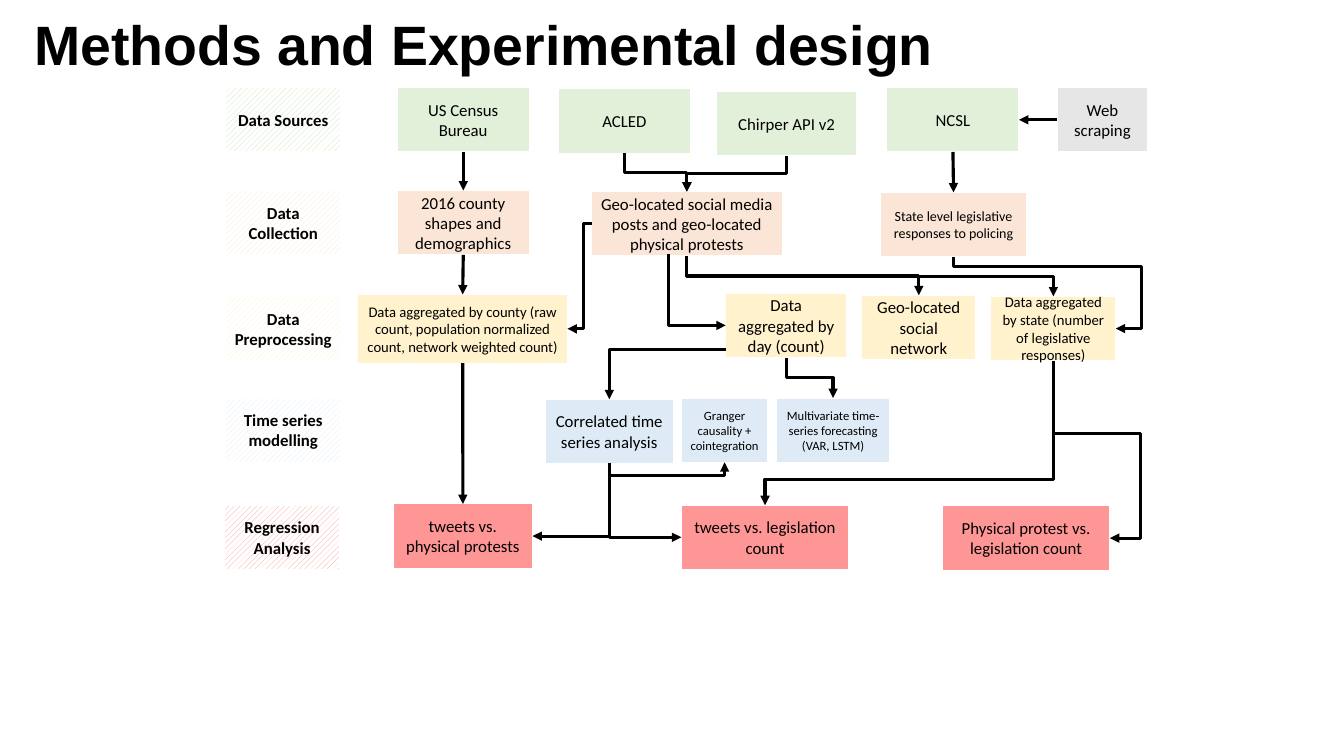
from lxml import etree
from pptx import Presentation
from pptx import util as u
from pptx.dml.color import RGBColor
from pptx.enum import dml, shapes, text
from pptx.oxml import ns

COLOURS = {
    "ink": "000000", "paper": "FFFFFF", "source": "E2F0D9", "source_label": "C5E0B4",
    "collection": "FBE5D6", "preprocessing": "FFF2CC", "modelling": "DEEBF7",
    "regression": "FF0000", "regression_label": "FF9696", "scraping": "E7E6E6",
}
TOP, LEFT, BOTTOM, RIGHT = range(4)
BOX_HEIGHT = 1.62

LABELS = [
    ("Data Sources", 5.69, 2.21, "source_label"),
    ("Data Collection", 5.69, 4.8, "collection"),
    ("Data Preprocessing", 5.69, 7.47, "preprocessing"),
    ("Time series modelling", 5.69, 10.03, "modelling"),
    ("Regression Analysis", 5.66, 12.73, "regression_label"),
]

STEPS = {
    "source": [
        ("census", "US Census Bureau", 10.01, 2.21, 3.33, 12),
        ("events", "ACLED", 14.07, 2.24, 3.33, 12),
        ("posts", "Chirper API v2", 18.06, 2.31, 3.53, 12),
        ("ncsl", "NCSL", 22.35, 2.21, 3.33, 12),
    ],
    "scraping": [("web", "Web scraping", 26.64, 2.21, 2.29, 12)],
    "collection": [
        ("county", "2016 county shapes and demographics", 10.01, 4.8, 3.33, 12),
        ("geo", "Geo-located social media posts and geo-located physical protests",
         14.91, 4.83, 4.8, 12),
        ("policing", "State level legislative responses to policing", 22.2, 4.85, 3.66, 10),
    ],
    "preprocessing": [
        ("by_county", "Data aggregated by county (raw count, population normalized count, "
         "network weighted count)", 9.02, 7.42, 5.28, 10.5),
        ("by_day", "Data aggregated by day (count)", 18.29, 7.39, 3.05, 12),
        ("network", "Geo-located social network", 21.72, 7.44, 2.87, 12),
        ("by_state", "Data aggregated by state (number of legislative responses)",
         24.97, 7.47, 3.15, 10.5),
    ],
    "modelling": [
        ("correlated", "Correlated time series analysis", 13.74, 10.06, 3.23, 12),
        ("granger", "Granger causality + cointegration", 17.17, 10.03, 2.18, 9),
        ("forecast", "Multivariate time-series forecasting (VAR, LSTM)",
         19.56, 10.03, 2.87, 9),
    ],
    "regression": [
        ("tweets_protests", "tweets vs. physical protests", 9.91, 12.7, 3.51, 12),
        ("tweets_laws", "tweets vs. legislation count", 17.17, 12.73, 4.22, 12),
        ("protests_laws", "Physical protest vs. legislation count", 23.75, 12.75, 4.22, 12),
    ],
}

STRAIGHT = [
    ("web", LEFT, "ncsl", RIGHT),
    ("census", BOTTOM, "county", TOP),
    ("county", BOTTOM, "by_county", TOP),
    ("by_county", BOTTOM, "tweets_protests", TOP),
    ("ncsl", BOTTOM, "policing", TOP),
]

ELBOWS = [
    ("posts", BOTTOM, "geo", TOP, [0.5]),
    ("events", BOTTOM, "geo", TOP, [0.5]),
    ("geo", LEFT, "by_county", RIGHT, [0.34]),
    ((16.84, 6.4), BOTTOM, "by_day", LEFT, []),
    ("policing", BOTTOM, "by_state", RIGHT, [0.14, 1.16]),
    ((18.29, 8.81), LEFT, "correlated", TOP, []),
    ("geo", BOTTOM, "network", TOP, [0.5]),
    ("geo", BOTTOM, "by_state", TOP, [0.5]),
    ("by_day", BOTTOM, "forecast", TOP, [0.5]),
    ("by_state", BOTTOM, "protests_laws", RIGHT, [0.41, 1.54]),
    ("by_state", BOTTOM, "tweets_laws", TOP, [0.82]),
    ("correlated", BOTTOM, "tweets_protests", RIGHT, []),
    ("correlated", BOTTOM, "tweets_laws", LEFT, []),
    ("correlated", BOTTOM, "granger", BOTTOM, [-10]),
]


def colour(name):
    """Return a named colour."""
    return RGBColor.from_string(COLOURS[name])


class FlowPage:
    """Holds the page, its boxes and the shared style."""

    def __init__(self, deck):
        """Add a title-only page to the deck."""
        self.page = deck.slides.add_slide(deck.slide_layouts[5])
        self.boxes = {}

    def wording(self, frame, words, size, bold=False, font="Calibri"):
        """Add one run to a text frame."""
        frame.word_wrap = True
        frame.vertical_anchor = text.MSO_ANCHOR.MIDDLE
        span = frame.paragraphs[0].add_run()
        span.text = words
        span.font.name, span.font.size, span.font.bold = font, u.Pt(size), bold
        span.font.color.rgb = colour("ink")
        return frame.paragraphs[0]

    def title(self, words):
        """Place and format the title."""
        box = self.page.shapes.title
        box.left, box.top, box.width, box.height = map(u.Cm, (0.61, 0.43, 25.43, 1.63))
        box.text_frame.auto_size = text.MSO_AUTO_SIZE.NONE
        para = self.wording(box.text_frame, words, 39.6, True, "Arial")
        para.alignment = text.PP_ALIGN.LEFT
        para.line_spacing = 0.8

    def box(self, words, left, top, width, height, size, bold=False):
        """Add a white-edged rectangle with centred text."""
        box = self.page.shapes.add_shape(
            shapes.MSO_SHAPE.RECTANGLE, *map(u.Cm, (left, top, width, height)))
        box.shadow.inherit = False
        box.line.color.rgb = colour("paper")
        box.line.width = u.Pt(0.75)
        frame = box.text_frame
        frame.margin_left = frame.margin_right = u.Cm(0.19)
        frame.margin_top = frame.margin_bottom = u.Cm(0.1)
        self.wording(frame, words, size, bold).alignment = text.PP_ALIGN.CENTER
        return box

    def label(self, words, left, top, stripe):
        """Add a hatched row label."""
        fill = self.box(words, left, top, 2.9, BOX_HEIGHT, 12, True).fill
        fill.patterned()
        fill.pattern = dml.MSO_PATTERN.WIDE_UPWARD_DIAGONAL
        fill.fore_color.rgb = colour(stripe)
        fill.back_color.rgb = colour("paper")

    def step(self, stage, key, words, left, top, width, size):
        """Add a filled step of the given stage."""
        height = 1.73 if key == "by_county" else BOX_HEIGHT
        box = self.boxes[key] = self.box(words, left, top, width, height, size)
        box.fill.solid()
        box.fill.fore_color.rgb = colour(stage)
        if stage == "regression":
            tint = box._element.spPr.find(ns.qn("a:solidFill")).find(ns.qn("a:srgbClr"))
            etree.SubElement(tint, ns.qn("a:alpha"), val="41000")

    def arrow(self, source, out, target, into, kind=shapes.MSO_CONNECTOR.STRAIGHT):
        """Join a step or a point to a step with an arrow."""
        free = isinstance(source, tuple)
        start = tuple(map(u.Cm, source)) if free else (0, 0)
        line = self.page.shapes.add_connector(kind, *start, *start)
        if not free:
            line.begin_connect(self.boxes[source], out)
        line.end_connect(self.boxes[target], into)
        line.line.color.rgb = colour("ink")
        line.line.width = u.Pt(2.25)
        outline = line._element.spPr.find(ns.qn("a:ln"))
        etree.SubElement(outline, ns.qn("a:tailEnd"), type="triangle")
        etree.SubElement(line._element.spPr, ns.qn("a:effectLst"))
        return line

    def elbow(self, source, out, target, into, bends):
        """Join with a bent arrow whose turns sit at the given fractions."""
        line = self.arrow(source, out, target, into, shapes.MSO_CONNECTOR.ELBOW)
        across, down = line.end_x - line.begin_x, line.end_y - line.begin_y
        middle_x, middle_y = line.begin_x + across // 2, line.begin_y + down // 2
        width, height = abs(across), abs(down)
        if out == BOTTOM:
            width, height = height, width
            turn = 270 if across > 0 else 90
            flips = (across > 0) == (down > 0), False
        else:
            turn, flips = 180, (False, down > 0)
        line.left, line.top = middle_x - width // 2, middle_y - height // 2
        line.width, line.height = width, height
        frame = line._element.spPr.find(ns.qn("a:xfrm"))
        frame.set("rot", str(turn * 60000))
        for name, flip in zip(("flipH", "flipV"), flips):
            frame.set(name, str(int(flip)))
        outline = line._element.spPr.find(ns.qn("a:prstGeom"))
        outline.set("prst", f"bentConnector{len(bends) + 2}")
        guides = outline.find(ns.qn("a:avLst"))
        for number, bend in enumerate(bends, 1):
            etree.SubElement(guides, ns.qn("a:gd"), name=f"adj{number}",
                             fmla=f"val {round(bend * 100000)}")


def main():
    """Build and save the deck."""
    deck = Presentation()
    deck.slide_width, deck.slide_height = u.Cm(33.87), u.Cm(19.05)
    flow = FlowPage(deck)
    flow.title("Methods and Experimental design")
    for label in LABELS:
        flow.label(*label)
    for stage, steps in STEPS.items():
        for step in steps:
            flow.step(stage, *step)
    for link in STRAIGHT:
        flow.arrow(*link)
    for link in ELBOWS:
        flow.elbow(*link)
    deck.save("out.pptx")


if __name__ == "__main__":
    main()
